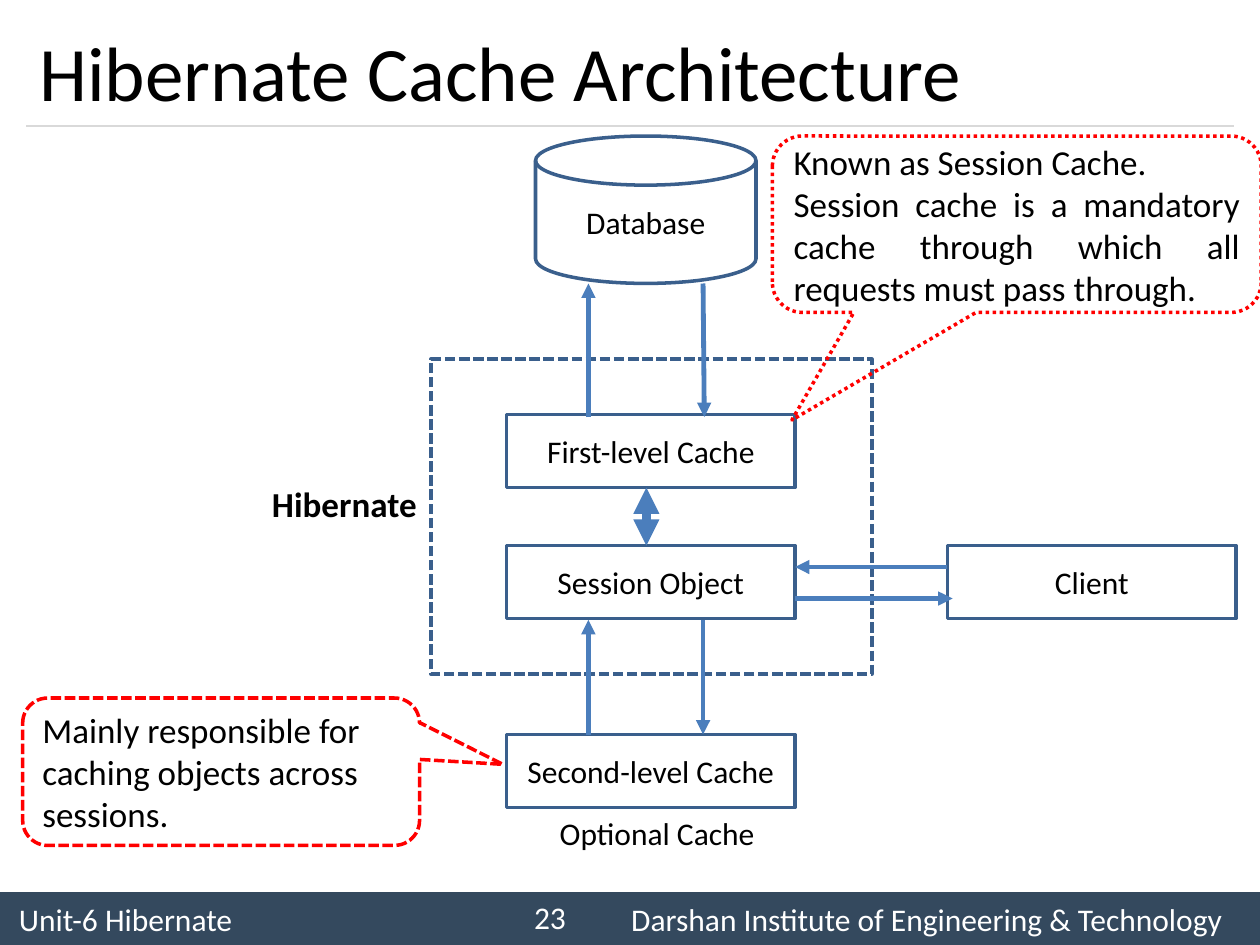
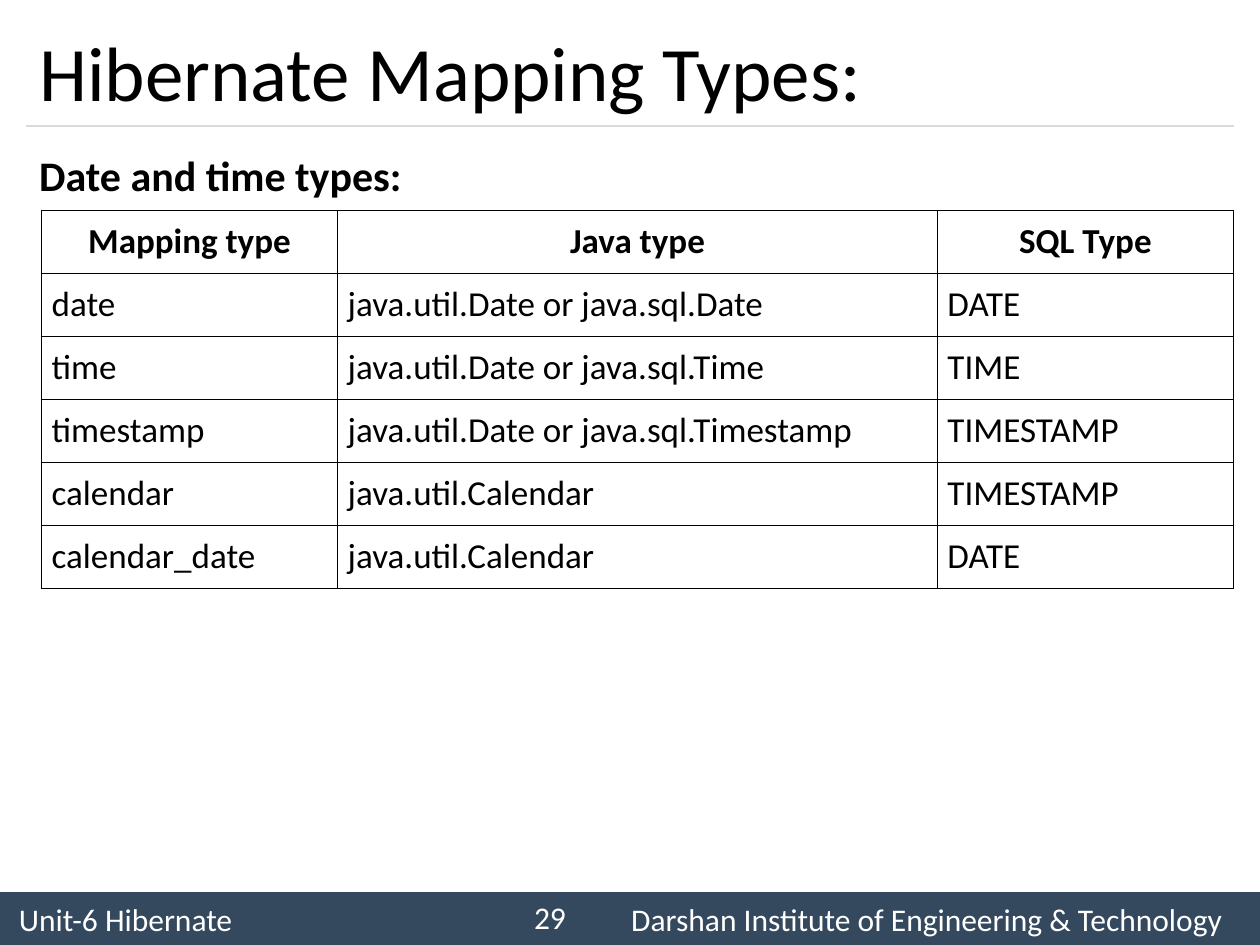
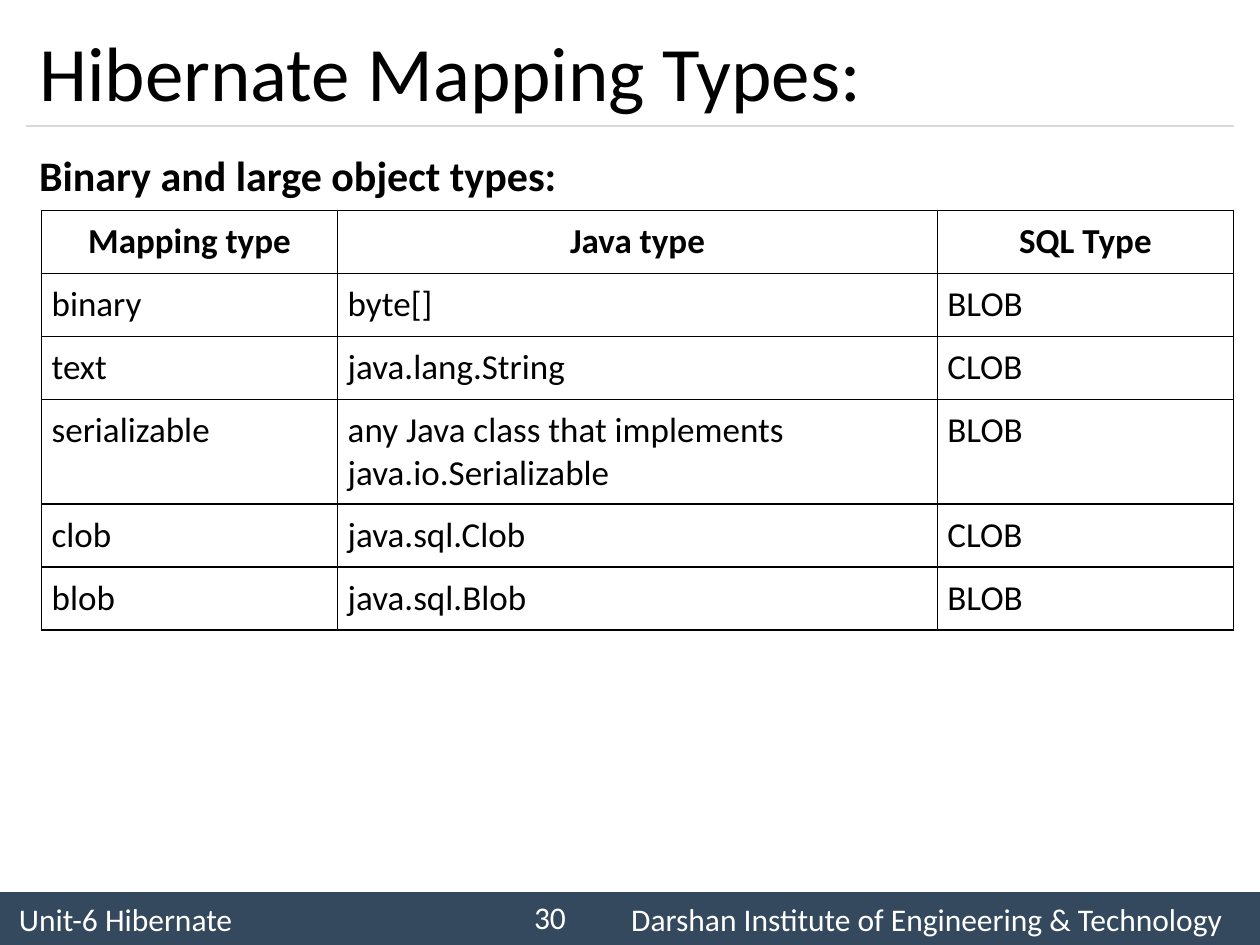
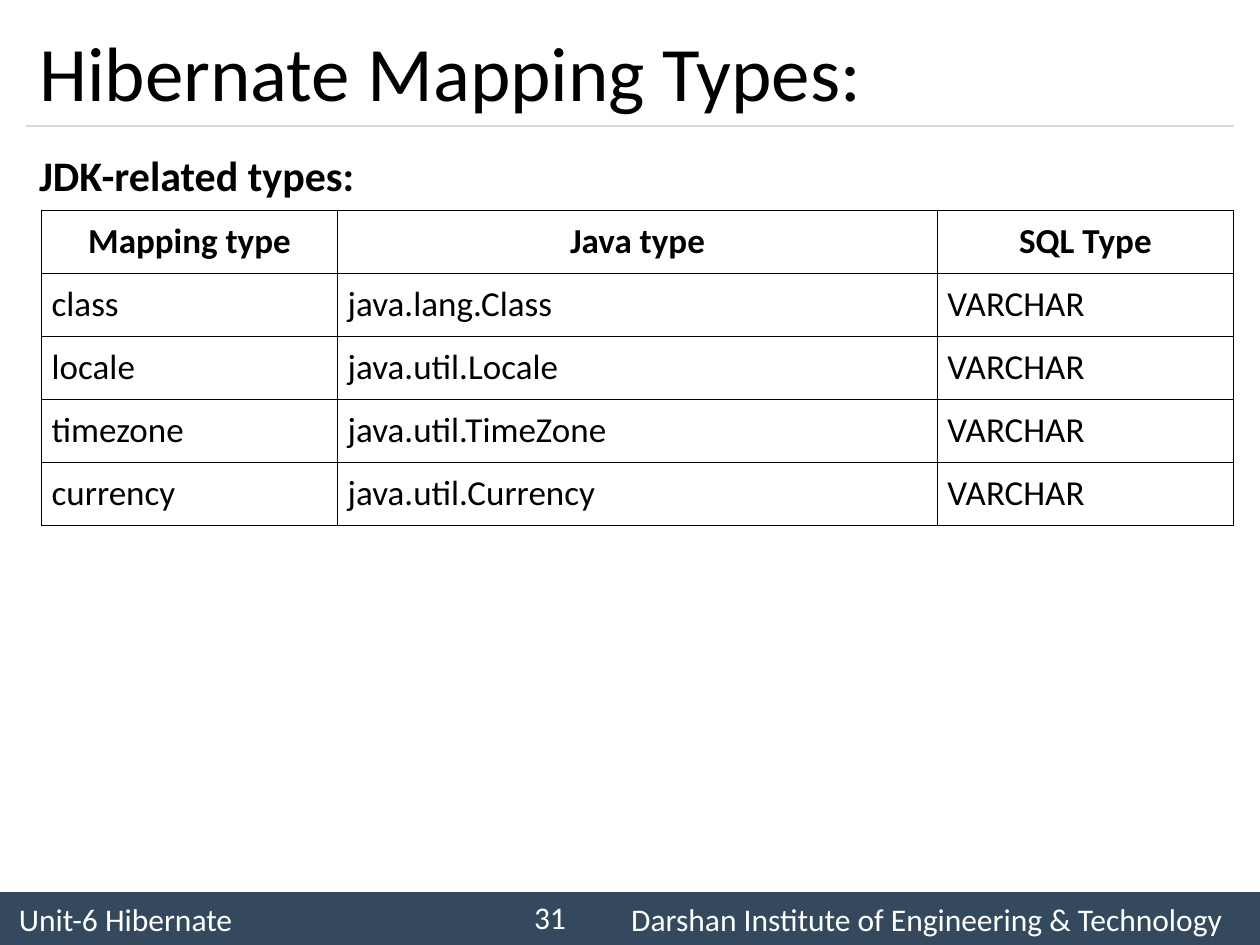
from lxml.etree import SubElement
from pptx import Presentation
from pptx.dml.color import RGBColor
from pptx.enum.dml import MSO_LINE
from pptx.enum.shapes import MSO_CONNECTOR, MSO_SHAPE
from pptx.enum.text import MSO_ANCHOR, MSO_AUTO_SIZE, PP_ALIGN
from pptx.oxml.ns import qn
from pptx.util import Inches, Pt

FONT = "Calibri"
COLORS = {
    "text": "000000",
    "white": "FFFFFF",
    "band": "34495E",
    "rule": "D9D9D9",
    "outline": "3A5F8C",
    "arrow": "4B7EBC",
    "callout": "FF0000",
}
MAPPING_TITLE = "Hibernate Mapping Types:"
COLUMN_WIDTHS = (2.35, 4.76, 2.35)
HEADER = ("Mapping type", "Java type", "SQL Type")
TABLE_LEFT, TABLE_TOP, ROW_HEIGHT, TWO_LINE_HEIGHT = 0.33, 1.67, 0.5, 0.83
TWO_LINE_ROWS = {"serializable"}


def add_run(paragraph, text, size, color="text", bold=False):
    run = paragraph.add_run()
    run.text = text
    run.font.name = FONT
    run.font.size = Pt(size)
    run.font.bold = bold
    run.font.color.rgb = RGBColor.from_string(COLORS[color])


def add_line(shapes, start, end, color, width, arrowheads=()):
    """Draw a straight line; arrowheads names the ends (headEnd, tailEnd) that get a triangle."""
    points = [Inches(value) for value in (*start, *end)]
    connector = shapes.add_connector(MSO_CONNECTOR.STRAIGHT, *points)
    connector.line.color.rgb = RGBColor.from_string(COLORS[color])
    connector.line.width = Pt(width)
    properties = connector.element.spPr
    for arrowhead in arrowheads:
        SubElement(properties.find(qn("a:ln")), qn(f"a:{arrowhead}"), type="triangle")
    SubElement(properties, qn("a:effectLst"))
    return connector


presentation = Presentation()
presentation.slide_width = Inches(10)
presentation.slide_height = Inches(7.5)
title_only = presentation.slide_layouts.get_by_name("Title Only")
title_and_content = presentation.slide_layouts.get_by_name("Title and Content")

# Titles and page numbers
slides = []
for layout, title_text, page_number in (
    (title_only, "Hibernate Cache Architecture", 23),
    (title_and_content, MAPPING_TITLE, 29),
    (title_and_content, MAPPING_TITLE, 30),
    (title_and_content, MAPPING_TITLE, 31),
):
    slide = presentation.slides.add_slide(layout)
    slides.append(slide)
    title = slide.shapes.title
    title.left, title.top = Inches(0.21), Inches(0.12)
    title.width, title.height = Inches(9.58), Inches(0.88)
    title.text_frame.auto_size = MSO_AUTO_SIZE.NONE
    title.text_frame.vertical_anchor = MSO_ANCHOR.MIDDLE
    paragraph = title.text_frame.paragraphs[0]
    paragraph.alignment = PP_ALIGN.LEFT
    add_run(paragraph, title_text, 44)

    number_box = slide.shapes.add_textbox(Inches(3.92), Inches(7.08), Inches(0.67), Inches(0.4))
    number_box.text_frame.word_wrap = True
    number_box.text_frame.vertical_anchor = MSO_ANCHOR.MIDDLE
    paragraph = number_box.text_frame.paragraphs[0]
    paragraph.alignment = PP_ALIGN.RIGHT
    add_run(paragraph, str(page_number), 18, "white")

# Footer band and title rule, moved to the slide master
cache_slide = slides[0]
shapes = cache_slide.shapes
band = shapes.add_shape(MSO_SHAPE.RECTANGLE, 0, Inches(7.08), Inches(10), Inches(0.42))
band.shadow.inherit = False
band.fill.solid()
band.fill.fore_color.rgb = RGBColor.from_string(COLORS["band"])
band.line.fill.background()
band.text_frame.margin_left = Inches(0.15)
band.text_frame.vertical_anchor = MSO_ANCHOR.MIDDLE
paragraph = band.text_frame.paragraphs[0]
paragraph.alignment = PP_ALIGN.LEFT
tab_list = SubElement(paragraph._p.get_or_add_pPr(), qn("a:tabLst"))
SubElement(tab_list, qn("a:tab"), pos=str(Inches(4.86)), algn="l")
add_run(paragraph, "Unit-6 Hibernate\tDarshan Institute of Engineering & Technology", 18, "white")
title_rule = add_line(shapes, (0.21, 1), (9.79, 1), "rule", 0.75)
for shared_shape in (band, title_rule):
    presentation.slide_master.shapes.element.append(shared_shape.element)

# Cache architecture diagram
box_size = (2.29, 0.58)
callout = MSO_SHAPE.ROUNDED_RECTANGULAR_CALLOUT
center, left, justify = PP_ALIGN.CENTER, PP_ALIGN.LEFT, PP_ALIGN.JUSTIFY
session_note = (
    "Known as Session Cache.",
    "Session cache is a mandatory cache through which all requests must pass through.",
)
second_level_note = ("Mainly responsible for caching objects across sessions.",)
for kind, bounds, color, dash, lines, size, alignment, adjustments in (
    (MSO_SHAPE.FLOWCHART_MAGNETIC_DISK, (4.25, 1.08, 1.75, 1.17), "outline", None,
     ("Database",), 18, center, ()),
    (MSO_SHAPE.RECTANGLE, (4.02, 4.33, *box_size), "outline", None,
     ("Session Object",), 18, center, ()),
    (MSO_SHAPE.RECTANGLE, (4.02, 3.29, *box_size), "outline", None,
     ("First-level Cache",), 18, center, ()),
    (MSO_SHAPE.RECTANGLE, (4.02, 5.83, *box_size), "outline", None,
     ("Second-level Cache",), 18, center, ()),
    (MSO_SHAPE.RECTANGLE, (3.42, 2.85, 3.5, 2.5), "outline", MSO_LINE.SQUARE_DOT,
     (), 18, center, ()),
    (MSO_SHAPE.RECTANGLE, (7.52, 4.33, *box_size), "outline", None,
     ("Client",), 18, center, ()),
    (callout, (6.13, 1.08, 3.88, 1.4), "callout", MSO_LINE.ROUND_DOT,
     session_note, 20, justify, (-0.46, 1.11, 0.17)),
    (callout, (0.18, 5.54, 3.15, 1.17), "callout", MSO_LINE.SQUARE_DOT,
     second_level_note, 20, left, (0.71, -0.05, 0.17)),
):
    shape = shapes.add_shape(kind, *[Inches(value) for value in bounds])
    shape.shadow.inherit = False
    shape.fill.background()
    shape.line.color.rgb = RGBColor.from_string(COLORS[color])
    shape.line.width = Pt(2)
    if dash is not None:
        shape.line.dash_style = dash
    for index, value in enumerate(adjustments):
        shape.adjustments[index] = value
    text_frame = shape.text_frame
    text_frame.vertical_anchor = MSO_ANCHOR.MIDDLE
    for index, text in enumerate(lines):
        paragraph = text_frame.add_paragraph() if index else text_frame.paragraphs[0]
        paragraph.alignment = alignment
        add_run(paragraph, text, size)

for text, bounds, size, bold, alignment in (
    ("Hibernate", (2.06, 3.78, 1.42, 0.44), 20, True, left),
    ("Optional Cache", (4.12, 6.41, 2.19, 0.4), 18, False, center),
):
    label = shapes.add_textbox(*[Inches(value) for value in bounds])
    label.text_frame.word_wrap = True
    paragraph = label.text_frame.paragraphs[0]
    paragraph.alignment = alignment
    add_run(paragraph, text, size, bold=bold)

add_line(shapes, (5.13, 3.87), (5.13, 4.33), "arrow", 5, ("headEnd", "tailEnd"))
for start, end in (
    ((5.58, 4.92), (5.58, 5.83)),
    ((4.67, 5.83), (4.67, 4.92)),
    ((5.58, 2.25), (5.59, 3.31)),
    ((4.67, 3.31), (4.67, 2.25)),
    ((7.52, 4.5), (6.31, 4.5)),
    ((6.31, 4.75), (7.56, 4.75)),
):
    add_line(shapes, start, end, "arrow", 2.75, ("tailEnd",))

# Mapping type slides: a heading above stacked one-row tables
mapping_sections = (
    ("Date and time types:", (
        ("date", "java.util.Date or java.sql.Date", "DATE"),
        ("time", "java.util.Date or java.sql.Time", "TIME"),
        ("timestamp", "java.util.Date or java.sql.Timestamp", "TIMESTAMP"),
        ("calendar", "java.util.Calendar", "TIMESTAMP"),
        ("calendar_date", "java.util.Calendar", "DATE"),
    )),
    ("Binary and large object types:", (
        ("binary", "byte[]", "BLOB"),
        ("text", "java.lang.String", "CLOB"),
        ("serializable", "any Java class that implements java.io.Serializable", "BLOB"),
        ("clob", "java.sql.Clob", "CLOB"),
        ("blob", "java.sql.Blob", "BLOB"),
    )),
    ("JDK-related types:", (
        ("class", "java.lang.Class", "VARCHAR"),
        ("locale", "java.util.Locale", "VARCHAR"),
        ("timezone", "java.util.TimeZone", "VARCHAR"),
        ("currency", "java.util.Currency", "VARCHAR"),
    )),
)
for slide, (heading, mappings) in zip(slides[1:], mapping_sections):
    body = slide.placeholders[1]
    body.left, body.top = Inches(0.21), Inches(1.08)
    body.width, body.height = Inches(9.58), Inches(5.83)
    body.text_frame.auto_size = MSO_AUTO_SIZE.NONE
    paragraph = body.text_frame.paragraphs[0]
    paragraph_properties = paragraph._p.get_or_add_pPr()
    paragraph_properties.set("marL", "0")
    paragraph_properties.set("indent", "0")
    SubElement(paragraph_properties, qn("a:buNone"))
    paragraph.alignment = PP_ALIGN.JUSTIFY
    paragraph.line_spacing = 1.14
    paragraph.space_before = Pt(0)
    add_run(paragraph, heading, 24, bold=True)

    row_top = TABLE_TOP
    for row in (HEADER, *mappings):
        is_header = row is HEADER
        row_height = TWO_LINE_HEIGHT if row[0] in TWO_LINE_ROWS else ROW_HEIGHT
        table = slide.shapes.add_table(
            1, len(row), Inches(TABLE_LEFT), Inches(row_top),
            Inches(sum(COLUMN_WIDTHS)), Inches(row_height),
        ).table
        table.first_row = False
        table.horz_banding = False
        for column, width, cell, text in zip(table.columns, COLUMN_WIDTHS, table.rows[0].cells, row):
            column.width = Inches(width)
            cell.margin_left = cell.margin_right = Inches(0.08)
            cell.margin_top = cell.margin_bottom = Inches(0.08)
            cell_properties = cell._tc.get_or_add_tcPr()
            for side in ("lnL", "lnR", "lnT", "lnB"):
                border = SubElement(cell_properties, qn(f"a:{side}"), w=str(Pt(1)))
                border_fill = SubElement(border, qn("a:solidFill"))
                SubElement(border_fill, qn("a:srgbClr"), val=COLORS["text"])
            cell.fill.background()
            paragraph = cell.text_frame.paragraphs[0]
            paragraph.alignment = PP_ALIGN.CENTER if is_header else PP_ALIGN.LEFT
            add_run(paragraph, text, 20, bold=is_header)
        row_top += row_height

presentation.save("out.pptx")
